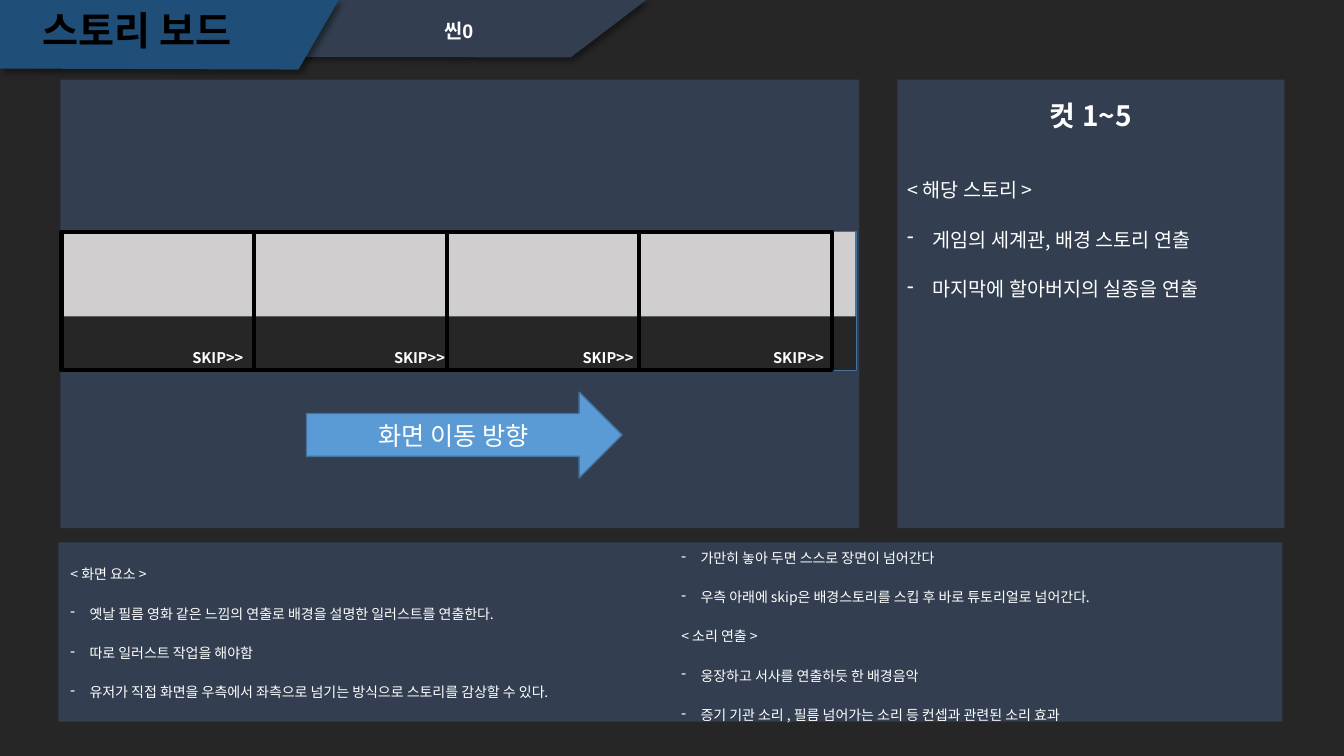
from dataclasses import dataclass

from lxml import etree
from pptx import Presentation
from pptx.dml.color import RGBColor
from pptx.enum.shapes import MSO_SHAPE
from pptx.enum.text import MSO_ANCHOR, MSO_AUTO_SIZE, PP_ALIGN
from pptx.oxml.ns import qn
from pptx.util import Inches, Pt

RECTANGLE, RIGHT_ARROW = MSO_SHAPE.RECTANGLE, MSO_SHAPE.RIGHT_ARROW
LEFT, CENTER = PP_ALIGN.LEFT, PP_ALIGN.CENTER
TOP, MIDDLE = MSO_ANCHOR.TOP, MSO_ANCHOR.MIDDLE
NO_AUTO_SIZE = MSO_AUTO_SIZE.NONE


@dataclass(frozen=True)
class Theme:
    background: str = "262626"
    panel: str = "333F50"
    title_tab: str = "1F4E79"
    film: str = "D0CECE"
    arrow: str = "5B9BD5"
    outline: str = "43739E"
    dark: str = "000000"
    light: str = "FFFFFF"
    heading_font: str = "Arial"
    body_font: str = "Noto Sans CJK KR"
    title_size: float = 28
    cut_size: float = 20
    arrow_size: float = 18
    story_size: float = 14
    skip_size: float = 10.5
    note_size: float = 10


THEME = Theme()


def color(value):
    return RGBColor.from_string(value)


def style_shape(shape, fill=None, line=None, width=1):
    shape.shadow.inherit = False
    if fill:
        shape.fill.solid()
        shape.fill.fore_color.rgb = color(fill)
    else:
        shape.fill.background()
    if line:
        shape.line.color.rgb = color(line)
        shape.line.width = Pt(width)
    else:
        shape.line.fill.background()


def add_box(slide, box, fill=None, line=None, width=1, kind=RECTANGLE):
    shape = slide.shapes.add_shape(kind, *map(Inches, box))
    style_shape(shape, fill, line, width)
    return shape


def write_text(shape, lines, size, anchor=MIDDLE, align=LEFT, spacing=1.0,
               before=0, indent=0.0, bold=False, ink=THEME.light,
               font=THEME.body_font):
    """Write the lines; those starting with "- " become bullets."""
    frame = shape.text_frame
    for name, value in {"word_wrap": True, "auto_size": NO_AUTO_SIZE,
                        "vertical_anchor": anchor}.items():
        setattr(frame, name, value)
    for index, line in enumerate(lines):
        paragraph = frame.paragraphs[0] if index == 0 else frame.add_paragraph()
        paragraph_format = {"alignment": align, "line_spacing": spacing,
                            "space_before": Pt(before if index else 0)}
        for name, value in paragraph_format.items():
            setattr(paragraph, name, value)
        if line.startswith("- "):
            properties = paragraph._p.get_or_add_pPr()
            properties.set("marL", str(Inches(indent)))
            properties.set("indent", str(-Inches(indent)))
            etree.SubElement(properties, qn("a:buChar"), char="-")
        run = paragraph.add_run()
        run.text = line.removeprefix("- ")
        run_format = {"size": Pt(size), "bold": bold, "name": font}
        for name, value in run_format.items():
            setattr(run.font, name, value)
        run.font.color.rgb = color(ink)
        etree.SubElement(run._r.get_or_add_rPr(), qn("a:ea"),
                         typeface=THEME.body_font)


def add_text(slide, box, lines, size, **text_format):
    text_box = slide.shapes.add_textbox(*map(Inches, box))
    write_text(text_box, lines, size, **text_format)


def add_tab(slide, box, slant, fill):
    """Header tab with a slanted right end and a soft shadow."""
    left, top, width, height = box
    right, bottom = left + width, top + height
    corners = [(right, top), (right - slant, bottom),
               (left, bottom - 0.01)]
    builder = slide.shapes.build_freeform(Inches(left), Inches(top))
    builder.add_line_segments([(Inches(x), Inches(y)) for x, y in corners])
    tab = builder.convert_to_shape()
    style_shape(tab, fill)
    effects = tab._element.spPr.find(qn("a:effectLst"))
    shadow = etree.SubElement(
        effects, qn("a:outerShdw"), blurRad=str(Pt(4)), dist=str(Pt(3)),
        dir=str(45 * 60000), algn="tl", rotWithShape="0")
    shade = etree.SubElement(shadow, qn("a:srgbClr"), val=THEME.dark)
    etree.SubElement(shade, qn("a:alpha"), val="40000")


def add_header(slide, box):
    left, top, _, _ = box
    heading = {"align": CENTER, "spacing": 0.9, "bold": True,
               "font": THEME.heading_font}
    add_tab(slide, (left + 0.05, top, 6.36, 0.57), 0.75, THEME.panel)
    add_tab(slide, (left, top, 3.36, 0.69), 0.4, THEME.title_tab)
    add_text(slide, (left + 4.05, top + 0.16, 1, 0.32), ["씬0"],
             THEME.story_size, anchor=TOP, **heading)
    add_text(slide, (left + 0.03, top + 0.06, 2.66, 0.53), ["스토리 보드"],
             THEME.title_size, ink=THEME.dark, **heading)


def add_film_panel(slide, box):
    left, top, _, _ = box
    add_box(slide, box, THEME.panel)

    # Film strip with its dark lower band
    strip_left, strip_top, strip_height = left + 0.01, top + 1.51, 1.37
    add_box(slide, (strip_left, strip_top, 7.88, strip_height),
            THEME.film, THEME.outline)
    add_box(slide, (left - 0.01, strip_top + 0.84, 7.9, 0.53), THEME.background)

    # Four cuts side by side
    frame_width = 1.91
    for index in range(4):
        add_box(slide, (strip_left + index * frame_width, strip_top,
                        frame_width, strip_height), line=THEME.dark, width=3)

    # Direction of movement
    arrow = add_box(slide, (left + 2.44, top + 3.1, 3.13, 0.85), THEME.arrow,
                    THEME.outline, kind=RIGHT_ARROW)
    write_text(arrow, ["화면 이동 방향"], THEME.arrow_size, align=CENTER)

    # Skip labels
    for offset in (1.21, 3.21, 5.08, 6.97):
        add_text(slide, (left + offset, top + 2.62, 1, 0.29), ["SKIP>>"],
                 THEME.skip_size, anchor=TOP, bold=True)


def add_story_panel(slide, box):
    left, top, width, _ = box
    add_box(slide, box, THEME.panel)
    add_text(slide, (left, top, width, 0.54), ["컷 1~5"], THEME.cut_size,
             align=CENTER, spacing=1.5, bold=True)
    add_text(slide, (left, top + 0.55, width, 1.95),
             ["< 해당 스토리 >",
              "- 게임의 세계관, 배경 스토리 연출",
              "- 마지막에 할아버지의 실종을 연출"],
             THEME.story_size, spacing=1.5, before=10, indent=0.25)


def add_notes_panel(slide, box):
    left, top, _, height = box
    add_box(slide, box, THEME.panel)
    screen_notes = [
        "< 화면 요소 >",
        "- 옛날 필름 영화 같은 느낌의 연출로 배경을 설명한 일러스트를 연출한다.",
        "- 따로 일러스트 작업을 해야함",
        "- 유저가 직접 화면을 우측에서 좌측으로 넘기는 방식으로 스토리를 감상할 수 있다.",
    ]
    sound_notes = [
        "- 가만히 놓아 두면 스스로 장면이 넘어간다",
        "- 우측 아래에 skip은 배경스토리를 스킵 후 바로 튜토리얼로 넘어간다.",
        "< 소리 연출 >",
        "- 웅장하고 서사를 연출하듯 한 배경음악",
        "- 증기 기관 소리 , 필름 넘어가는 소리 등 컨셉과 관련된 소리 효과",
    ]
    columns = [(0.02, -0.03, screen_notes), (6.08, 0, sound_notes)]
    for across, down, lines in columns:
        add_text(slide, (left + across, top + down, 6.06, height), lines,
                 THEME.note_size, spacing=1.5, before=10, indent=0.19)


def main():
    presentation = Presentation()
    presentation.slide_width = Inches(13.33)
    presentation.slide_height = Inches(7.5)
    slide = presentation.slides.add_slide(presentation.slide_layouts[6])
    slide.background.fill.solid()
    slide.background.fill.fore_color.rgb = color(THEME.background)
    add_header(slide, (0, 0, 6.41, 0.69))
    add_film_panel(slide, (0.6, 0.79, 7.92, 4.45))
    add_story_panel(slide, (8.9, 0.79, 3.84, 4.45))
    add_notes_panel(slide, (0.58, 5.38, 12.14, 1.78))
    presentation.save("out.pptx")


if __name__ == "__main__":
    main()
